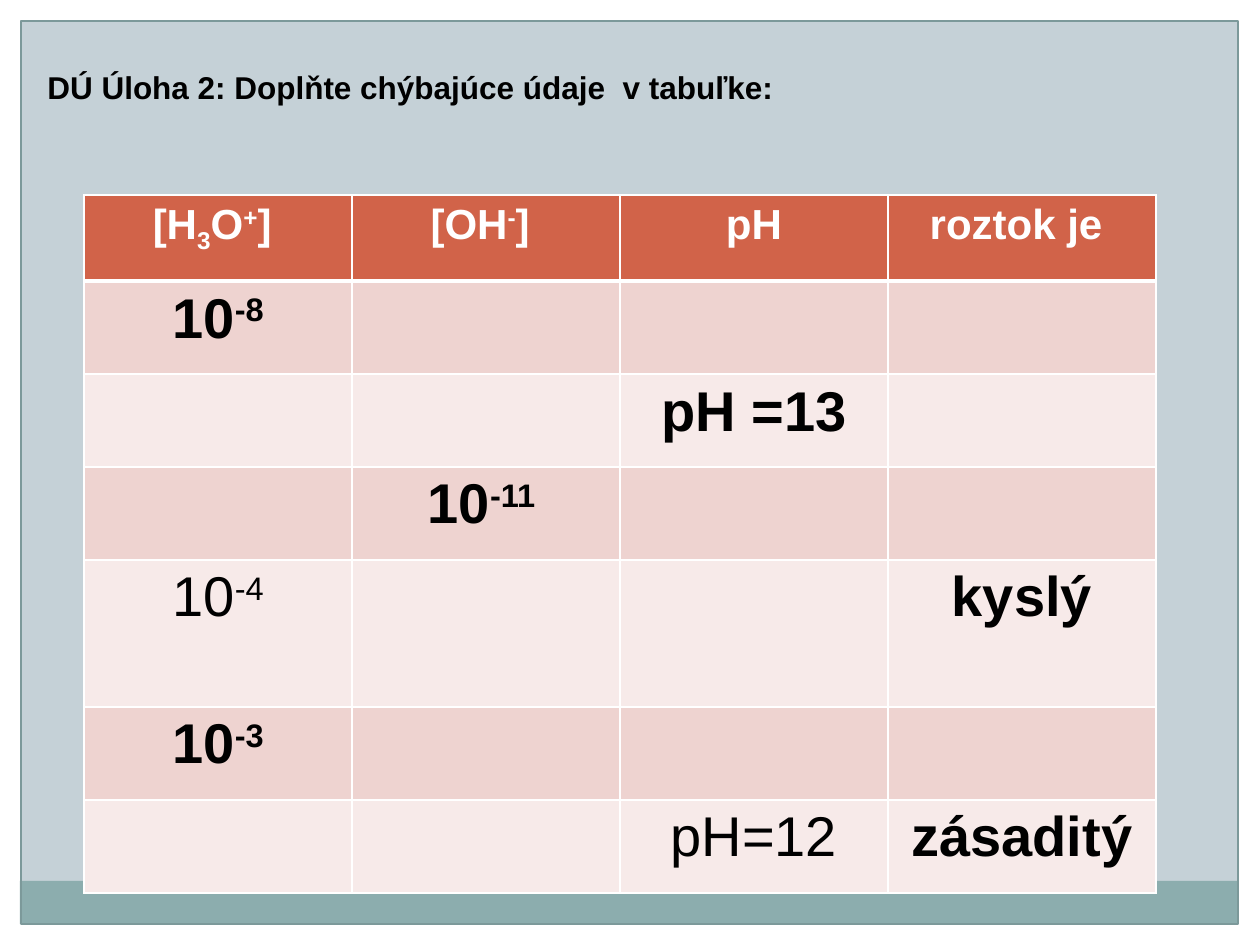
from lxml import etree
from pptx import Presentation
from pptx.dml.color import RGBColor
from pptx.enum.shapes import MSO_SHAPE
from pptx.enum.text import PP_ALIGN
from pptx.oxml.ns import qn
from pptx.util import Emu, Pt

RECTANGLE = MSO_SHAPE.RECTANGLE
CENTER = PP_ALIGN.CENTER
PIXEL = 914400 // 126
WIDTH, HEIGHT = 1260, 945
FONT = "Arial"
COLORS = {"background": "C5D1D7", "white": "FFFFFF", "band": "8CADAE", "frame": "7C999A",
          "text": "000000", "header": "D16349", "dark_row": "EED3D0", "light_row": "F7EAE9"}
SUB, SUPER = "-25000", "30000"

TITLE = "DÚ Úloha 2: Doplňte chýbajúce údaje  v tabuľke:"
TITLE_BOX = (35, 62, 1022, 50)
# left, top, width, height, fill, line
DECORATIONS = [
    (0, 924, WIDTH, 21, "white", None),
    (0, 0, WIDTH, 21, "white", None),
    (1239, 0, 21, HEIGHT, "white", None),
    (0, 0, 21, HEIGHT, "white", None),
    (20, 881, 1218, 43, "band", None),
    (21, 21, 1217, 903, None, "frame"),
]

TABLE_LEFT, TABLE_TOP, COLUMN_WIDTH = 84, 195, 268
ROW_HEIGHTS = [86, 93, 93, 93, 147, 93, 93]
HEADER = [[("[H",), ("3", SUB), ("O",), ("+", SUPER), ("] ",)],
          [("[OH",), ("-", SUPER), ("] ",)], [("pH",)], [("roztok je ",)]]
# (row, column): (bold, runs)
ENTRIES = {
    (1, 0): (True, [("10",), ("-8", SUPER)]),
    (2, 2): (True, [("pH =13",)]),
    (3, 1): (True, [("10",), ("-11 ", SUPER)]),
    (4, 0): (False, [("10",), ("-4", SUPER)]),
    (4, 3): (True, [("kyslý",)]),
    (5, 0): (True, [("10",), ("-3", SUPER)]),
    (6, 2): (False, [("pH=12",)]),
    (6, 3): (True, [("zásaditý",)]),
}


def px(*lengths):
    """Turn pixel lengths into EMU."""
    return [Emu(length * PIXEL) for length in lengths]


def rgb(name):
    """Look up a named colour."""
    return RGBColor.from_string(COLORS[name])


def write_runs(paragraph, runs, size, bold, color):
    """Add runs of (text, optional baseline shift) in one format."""
    formats = {"name": FONT, "size": Pt(size), "bold": bold}
    for text, *baseline in runs:
        run = paragraph.add_run()
        run.text = text
        for attribute, value in formats.items():
            setattr(run.font, attribute, value)
        run.font.color.rgb = rgb(color)
        if baseline:
            run.font._element.set("baseline", baseline[0])


def add_rectangle(slide, left, top, width, height, fill, line):
    """Draw a plain rectangle with an optional fill and outline."""
    shape = slide.shapes.add_shape(RECTANGLE, *px(left, top, width, height))
    shape.shadow.inherit = False
    if fill:
        shape.fill.solid()
        shape.fill.fore_color.rgb = rgb(fill)
    else:
        shape.fill.background()
    if line:
        shape.line.color.rgb = rgb(line)
        shape.line.width = Pt(0.75)
    else:
        shape.line.fill.background()


def format_cell(cell, fill, top_width, bottom_width):
    """Fill a cell and give it white borders."""
    properties = cell._tc.get_or_add_tcPr()
    for side, width in (("L", 1), ("R", 1), ("T", top_width), ("B", bottom_width)):
        border = etree.SubElement(properties, qn(f"a:ln{side}"), w=str(Pt(width)))
        solid = etree.SubElement(border, qn("a:solidFill"))
        etree.SubElement(solid, qn("a:srgbClr"), val=COLORS["white"])
    cell.fill.solid()
    cell.fill.fore_color.rgb = rgb(fill)


def add_table(slide):
    """Build the table with a header and banded rows."""
    columns = len(HEADER)
    frame = slide.shapes.add_table(len(ROW_HEIGHTS), columns, *px(
        TABLE_LEFT, TABLE_TOP, COLUMN_WIDTH * columns, sum(ROW_HEIGHTS)))
    table = frame.table
    for column in table.columns:
        column.width = px(COLUMN_WIDTH)[0]
    for row, height in enumerate(ROW_HEIGHTS):
        table.rows[row].height = px(height)[0]
        fill = "header" if row == 0 else ("light_row", "dark_row")[row % 2]
        for column in range(columns):
            cell = table.cell(row, column)
            format_cell(cell, fill, 3 if row == 1 else 1, 3 if row == 0 else 1)
            paragraph = cell.text_frame.paragraphs[0]
            paragraph.alignment = CENTER
            if row == 0:
                write_runs(paragraph, HEADER[column], 24, True, "white")
            elif (row, column) in ENTRIES:
                bold, runs = ENTRIES[row, column]
                write_runs(paragraph, runs, 32, bold, "text")


presentation = Presentation()
presentation.slide_width, presentation.slide_height = px(WIDTH, HEIGHT)
slide = presentation.slides.add_slide(presentation.slide_layouts[6])
slide.background.fill.solid()
slide.background.fill.fore_color.rgb = rgb("background")
for decoration in DECORATIONS:
    add_rectangle(slide, *decoration)
title = slide.shapes.add_textbox(*px(*TITLE_BOX)).text_frame
title.word_wrap = True
write_runs(title.paragraphs[0], [(TITLE,)], 18, True, "text")
add_table(slide)
presentation.save("out.pptx")
